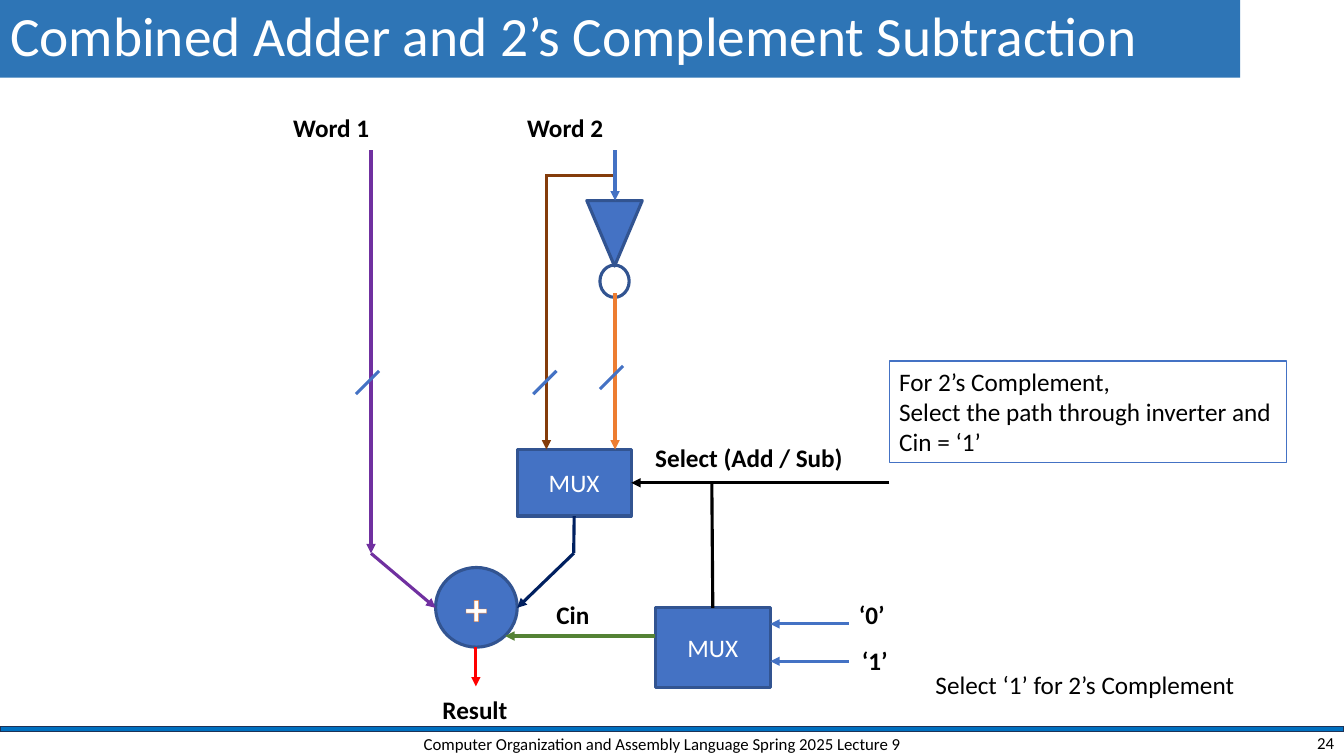
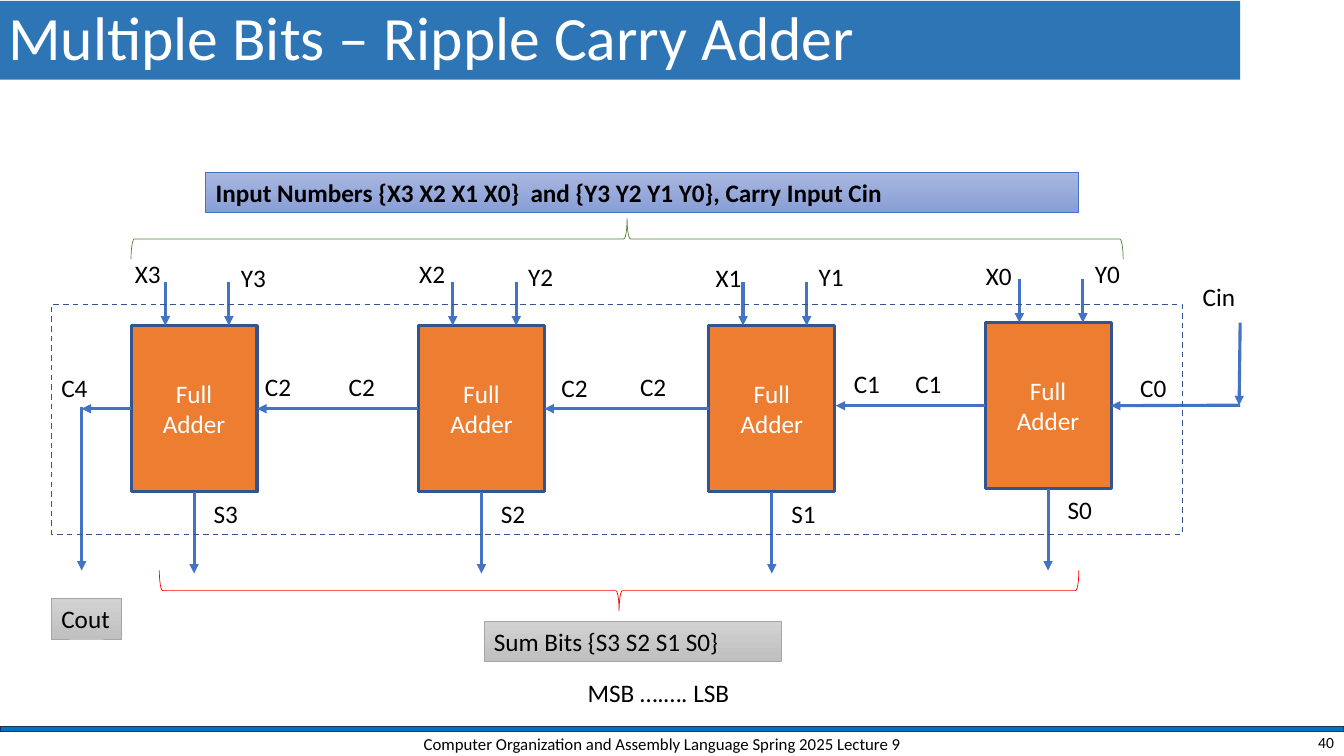
from lxml import etree
from pptx import Presentation
from pptx.dml.color import RGBColor
from pptx.enum import shapes, text
from pptx.oxml import ns
from pptx.util import Inches, Pt

COLOURS = {
    "white": "FFFFFF", "black": "000000", "title": "2E75B6", "rule": "0070C0",
    "rule edge": "1E3256", "blue": "4472C4", "edge": "325491", "orange": "ED7D31",
    "purple": "7030A0", "brown": "843C0B", "navy": "002060", "green": "548235",
    "red": "FF0000", "grey": "A5A5A5", "grey light": "D2D2D2", "grey dark": "C0C0C0",
    "blue light": "A8B7DF", "blue dark": "889ED7",
}
FONT = "Calibri"
FOOTER = "Computer Organization and Assembly Language Spring 2025 Lecture 9"
LEFT, CENTRE, RIGHT = text.PP_ALIGN.LEFT, text.PP_ALIGN.CENTER, text.PP_ALIGN.RIGHT
KIND = shapes.MSO_SHAPE
TOP_SIDE, LEFT_SIDE, BOTTOM_SIDE, RIGHT_SIDE = range(4)
GREY = ("grey light", "grey dark")

# Subtraction slide: name, preset, box, turn, fill, text, text size
BLOCKS = [
    ("word mux", KIND.RECTANGLE, (5.13, 4.46, 1.13, 0.66), 0, "blue", "MUX", 18),
    ("carry mux", KIND.RECTANGLE, (6.5, 6.03, 1.14, 0.79), 0, "blue", "MUX", 18),
    ("adder", KIND.OVAL, (4.32, 5.63, 0.81, 0.79), 0, "blue", "+", 32),
    ("inverter", KIND.ISOSCELES_TRIANGLE, (5.82, 1.99, 0.55, 0.65), 180, "blue", "", 18),
    ("bubble", KIND.OVAL, (5.95, 2.63, 0.29, 0.32), 0, None, "", 18),
]
# colour, start, end, arrow at the end; an end is a point or a block's side
WIRES = [
    ("purple", (3.68, 1.49), (3.68, 5.49), True),
    ("purple", (3.68, 5.49), (4.32, 6.03), True),
    ("brown", (6.1, 1.74), (5.41, 1.74), False),
    ("brown", (5.42, 1.74), (5.42, 4.46), True),
    ("blue", (6.1, 1.49), (6.1, 1.99), True),
    ("orange", (6.1, 2.91), (6.1, 4.46), True),
    ("navy", ("word mux", BOTTOM_SIDE), (5.69, 5.49), False),
    ("navy", (5.69, 5.49), (5.13, 6.03), True),
    ("green", (6.5, 6.31), (5.01, 6.31), True),
    ("black", (8.82, 4.79), ("word mux", RIGHT_SIDE), True),
    ("black", ("carry mux", TOP_SIDE), (7.06, 4.79), False),
    ("blue", (8.42, 6.19), (7.64, 6.19), True),
    ("blue", (8.42, 6.56), (7.64, 6.56), True),
    ("red", (4.72, 6.42), (4.72, 6.81), True),
]
BUS_MARKS = [(3.53, 3.68), (5.29, 3.68), (5.95, 3.63)]
MARK_SIZE = 0.23
SIGNALS = [
    ("Word 1", 2.81, 1.07, 0.96), ("Word 2", 5.13, 1.07, 0.96),
    ("Select (Add / Sub)", 6.4, 4.34, 2.08), ("Cin", 5.42, 5.9, 0.53),
    ("‘0’", 8.42, 5.9, 0.46), ("‘1’", 8.45, 6.35, 0.46), ("Result", 4.29, 6.84, 0.85),
]
ADVICE = "For 2’s Complement,\nSelect the path through inverter and\nCin = ‘1’"

# Ripple slide: bit, adder left, adder top, X label left and top, Y label top, carry end
ADDERS = [
    (3, 1.3, 3.23, 1.24, 2.51, 2.55, 0.81),
    (2, 4.15, 3.23, 4.06, 2.51, 2.54, 2.55),
    (1, 7.03, 3.23, 7.0, 2.55, 2.54, 5.4),
    (0, 9.77, 3.2, 9.68, 2.53, 2.51, 8.29),
]
ADDER_WIDTH, ADDER_HEIGHT = 1.25, 1.65
INPUT_OFFSETS = (0.34, 0.97)
CARRIES = [
    ("C4", 0.51, 3.64), ("C2", 2.53, 3.63), ("C2", 3.36, 3.63), ("C2", 5.47, 3.64),
    ("C2", 6.25, 3.63), ("C1", 8.37, 3.61), ("C1", 8.98, 3.6), ("C0", 11.21, 3.64),
]
# text, box, gradient, edge, bold, wrap
PANELS = [
    ("Input Numbers {X3 X2 X1 X0}  and {Y3 Y2 Y1 Y0}, Carry Input Cin",
     (2.04, 1.71, 8.66, 0.4), ("blue light", "blue dark"), "blue", True, True),
    ("Cout", (0.51, 5.94, 0.69, 0.4), GREY, "grey", False, False),
    ("Sum Bits {S3 S2 S1 S0}", (4.8, 6.16, 2.95, 0.4), GREY, "grey", False, True),
]
BRACES = [((6.02, -2.55, 0.4, 9.84), 270, "green"), ((5.94, 1.3, 0.4, 9.12), 90, "red")]


def rgb(name):
    return RGBColor.from_string(COLOURS[name])


def inches(values):
    return [Inches(value) for value in values]


def write(box, words, size=18, colour="black", bold=False, align=LEFT,
          anchor=text.MSO_ANCHOR.TOP, wrap=True, spacing=None):
    frame = box.text_frame
    frame.text = words
    frame_format = {"word_wrap": wrap, "vertical_anchor": anchor,
                    "auto_size": text.MSO_AUTO_SIZE.NONE}
    for key, value in frame_format.items():
        setattr(frame, key, value)
    for para in frame.paragraphs:
        para.alignment, para.line_spacing = align, spacing
        for span in para.runs:
            for key, value in {"name": FONT, "size": Pt(size), "bold": bold}.items():
                setattr(span.font, key, value)
            span.font.color.rgb = rgb(colour)


def add_label(page, words, at, **style):
    box = page.shapes.add_textbox(*inches(at))
    write(box, words, **{"wrap": False, **style})


def add_block(page, at, fill, edge="edge", weight=2.25, kind=KIND.RECTANGLE, turn=0):
    """Draw a preset shape; fill is a colour, a pair for a gradient, or None."""
    block = page.shapes.add_shape(kind, *inches(at))
    block.shadow.inherit = False
    block.rotation = turn
    if fill is None:
        block.fill.background()
    elif isinstance(fill, tuple):
        block.fill.gradient()
        block.fill.gradient_angle = 270
        for stop, colour in zip(block.fill.gradient_stops, fill):
            stop.color.rgb = rgb(colour)
    else:
        block.fill.solid()
        block.fill.fore_color.rgb = rgb(fill)
    block.line.color.rgb = rgb(edge)
    block.line.width = Pt(weight)
    return block


def locate(anchor):
    """Give the point of an anchor: (x, y) in inches or (shape, side)."""
    if isinstance(anchor[0], (int, float)):
        return inches(anchor)
    block, side = anchor
    across, down = [(0.5, 0), (0, 0.5), (0.5, 1), (1, 0.5)][side]
    return [int(block.left + across * block.width), int(block.top + down * block.height)]


def add_wire(page, start, end, colour="blue", arrow=True):
    wire = page.shapes.add_connector(
        shapes.MSO_CONNECTOR.STRAIGHT, *locate(start), *locate(end))
    for anchor, join in ((start, wire.begin_connect), (end, wire.end_connect)):
        if not isinstance(anchor[0], (int, float)):
            join(*anchor)
    wire.line.color.rgb = rgb(colour)
    wire.line.width = Pt(2.25)
    if arrow:
        etree.SubElement(wire.line._get_or_add_ln(), ns.qn("a:tailEnd"), type="triangle")
    etree.SubElement(wire._element.spPr, ns.qn("a:effectLst"))


def outline_text(block, colour, weight):
    properties = block.text_frame.paragraphs[0].runs[0].font._element
    line = etree.Element(ns.qn("a:ln"), w=str(Pt(weight)))
    fill = etree.SubElement(line, ns.qn("a:solidFill"))
    etree.SubElement(fill, ns.qn("a:srgbClr"), val=COLOURS[colour])
    properties.insert(0, line)


def add_page(deck, title, title_size, title_box, number, number_size):
    page = deck.slides.add_slide(deck.slide_layouts[5])
    heading = page.shapes.title
    for key, value in zip(("left", "top", "width", "height"), inches(title_box)):
        setattr(heading, key, value)
    heading.fill.solid()
    heading.fill.fore_color.rgb = rgb("title")
    middle = text.MSO_ANCHOR.MIDDLE
    write(heading, title, title_size, "white", anchor=middle, spacing=0.9)
    add_block(page, (0, 7.21, 13.33, 0.05), "rule", "rule edge", 1)
    add_label(page, FOOTER, (3.92, 7.24, 5.3, 0.28), size=12, align=CENTRE,
              anchor=middle, wrap=True)
    add_label(page, number, (10.33, 7.24, 3, 0.25), size=number_size, align=RIGHT,
              anchor=middle, wrap=True)
    return page


def build_subtraction(deck):
    page = add_page(deck, "Combined Adder and 2’s Complement Subtraction", 39.6,
                    (0, -0.01, 12.3, 0.78), "24", 12)
    blocks = {}
    for name, kind, at, turn, fill, words, size in BLOCKS:
        block = blocks[name] = add_block(page, at, fill, kind=kind, turn=turn)
        if words:
            write(block, words, size, "white", name == "adder", CENTRE,
                  text.MSO_ANCHOR.MIDDLE)
    outline_text(blocks["adder"], "orange", 0.52)
    for colour, start, end, arrow in WIRES:
        start, end = [(blocks.get(first, first), second) for first, second in (start, end)]
        add_wire(page, start, end, colour, arrow)
    for left, top in BUS_MARKS:
        add_wire(page, (left + MARK_SIZE, top), (left, top + MARK_SIZE), arrow=False)
    for words, left, top, width in SIGNALS:
        add_label(page, words, (left, top, width, 0.4), bold=True)
    advice = add_block(page, (8.82, 3.58, 3.94, 1.01), "white", "blue", 1)
    write(advice, ADVICE, wrap=False)
    add_label(page, "Select ‘1’ for 2’s Complement", (9.18, 6.59, 3.2, 0.4))


def build_ripple(deck):
    page = add_page(deck, "Multiple Bits – Ripple Carry Adder", 44,
                    (-0.02, 0.01, 12.32, 0.78), "40", 11.1)
    for bit, left, top, x_left, x_top, y_top, carry_end in ADDERS:
        adder = add_block(page, (left, top, ADDER_WIDTH, ADDER_HEIGHT), "orange")
        write(adder, "Full\nAdder", colour="white", align=CENTRE,
              anchor=text.MSO_ANCHOR.MIDDLE)
        for offset in INPUT_OFFSETS:
            add_wire(page, (left + offset, top - 0.43), (left + offset, top))
        add_wire(page, (adder, BOTTOM_SIDE), (left + ADDER_WIDTH / 2, top + 2.46))
        add_wire(page, (adder, LEFT_SIDE), (carry_end, top + ADDER_HEIGHT / 2))
        for letter, label_left, label_top in (
                ("X", x_left, x_top), ("Y", left + 0.99, y_top),
                ("S", left + 0.72, top + 1.66)):
            add_label(page, f"{letter}{bit}", (label_left, label_top, 0.46, 0.4))
    add_wire(page, (12.3, 4.02), (adder, RIGHT_SIDE))
    add_wire(page, (12.3, 3.2), (12.29, 4.02))
    add_wire(page, (0.81, 4.04), (0.81, 5.66))
    for words, left, top in CARRIES:
        add_label(page, words, (left, top, 0.46, 0.4))
    add_label(page, "Cin", (11.83, 2.74, 0.53, 0.4))
    add_label(page, "MSB ….…. LSB", (5.73, 6.67, 1.6, 0.4))
    frame = add_block(page, (0.51, 3.02, 11.22, 2.28), None, weight=1)
    frame.line.dash_style = 4
    for at, turn, colour in BRACES:
        add_block(page, at, None, colour, 0.5, KIND.RIGHT_BRACE, turn)
    for words, at, gradient, edge, bold, wrap in PANELS:
        panel = add_block(page, at, gradient, edge, 0.5)
        write(panel, words, bold=bold, wrap=wrap)


def main():
    deck = Presentation()
    deck.slide_width, deck.slide_height = Inches(13.33), Inches(7.5)
    build_subtraction(deck)
    build_ripple(deck)
    deck.save("out.pptx")


if __name__ == "__main__":
    main()
